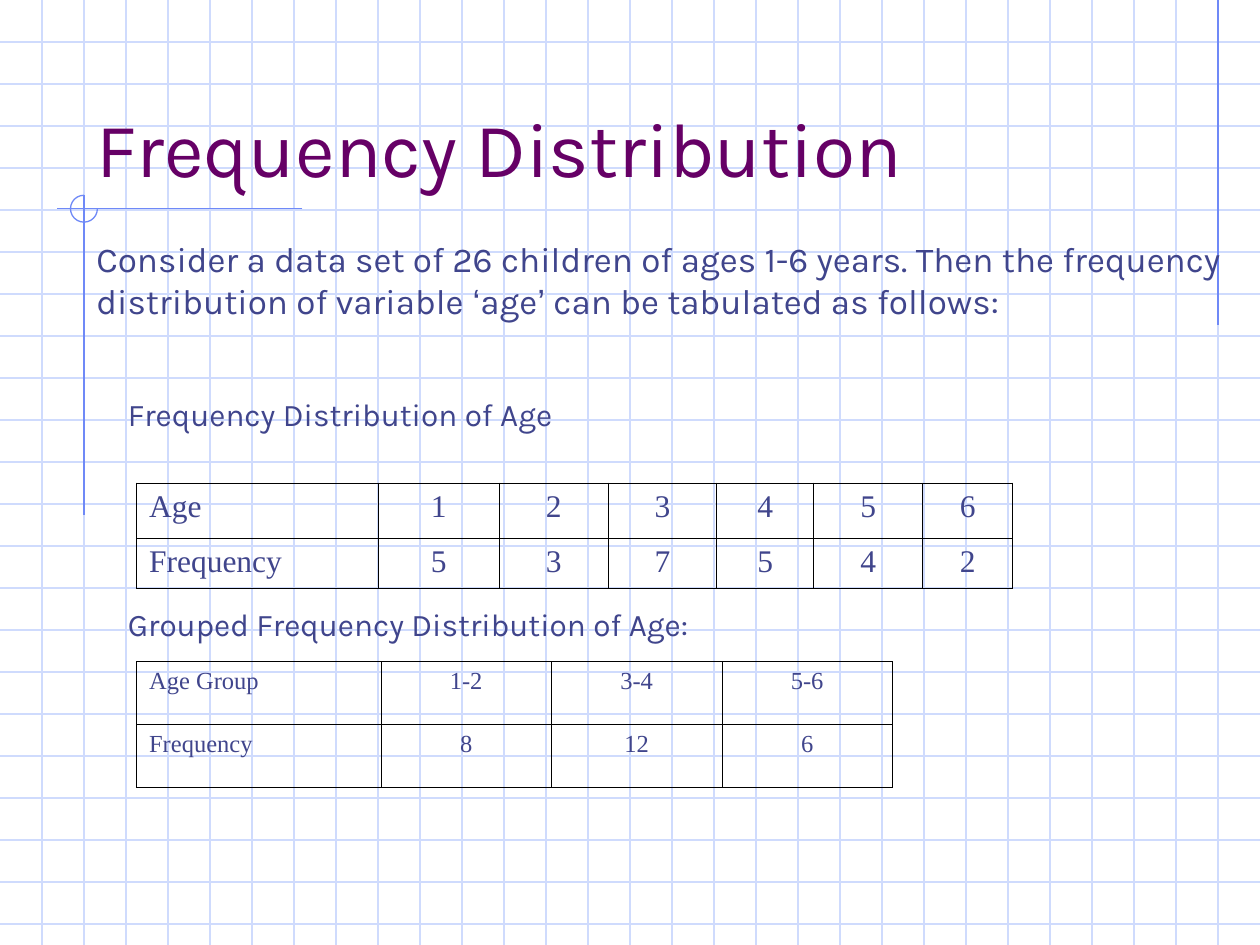
from lxml import etree
from pptx import Presentation
from pptx import util as u
from pptx.dml.color import RGBColor
from pptx.enum import shapes, text
from pptx.oxml import ns

PALE_BLUE = RGBColor(0xCF, 0xDB, 0xFD)
BLUE = RGBColor(0x6F, 0x89, 0xF7)
PURPLE = RGBColor(0x66, 0x00, 0x66)
INDIGO = RGBColor(0x40, 0x45, 0x8C)
BLACK = RGBColor(0x00, 0x00, 0x00)

COLUMNS, ROWS = 30, 22.5  # squares of the graph paper
SQUARE = u.Inches(10) / COLUMNS


def squares(*counts):
    return [u.Emu(round(count * SQUARE)) for count in counts]


class GraphPaper:
    """Draws on one slide; all lengths are in squares of the paper."""

    body_font = "Karla"
    quote_font = "Arial"
    table_font = "Times New Roman"
    line_width = u.Pt(0.75)
    border_width = u.Pt(0.45)

    def __init__(self, slide):
        self.slide = slide

    def line(self, x1, y1, x2, y2, color):
        connector = self.slide.shapes.add_connector(
            shapes.MSO_CONNECTOR.STRAIGHT, *squares(x1, y1, x2, y2))
        connector.line.color.rgb = color
        connector.line.width = self.line_width
        etree.SubElement(connector._element.spPr, ns.qn("a:effectLst"))

    def three_quarter_arc(self, center_x, center_y, radius):
        """Leaves the upper right quarter of the circle open."""
        arc = self.slide.shapes.add_shape(
            shapes.MSO_SHAPE.ARC,
            *squares(center_x - radius, center_y - radius, 2 * radius, 2 * radius))
        arc.adjustments[0] = 0
        arc.adjustments[1] = 162  # 270 degrees
        arc.shadow.inherit = False
        arc.fill.background()
        arc.line.color.rgb = BLUE
        arc.line.width = self.line_width

    def run(self, paragraph, words, size, color=INDIGO, font=body_font):
        run = paragraph.add_run()
        run.text = words
        run.font.name = font
        run.font.size = u.Pt(size)
        run.font.color.rgb = color

    def text(self, left, top, width, height, runs, size, color=INDIGO,
             anchor=text.MSO_ANCHOR.TOP):
        """Takes runs as pairs of words and font."""
        box = self.slide.shapes.add_textbox(*squares(left, top, width, height))
        frame = box.text_frame
        frame.word_wrap = True
        frame.vertical_anchor = anchor
        for words, font in runs:
            self.run(frame.paragraphs[0], words, size, color, font)

    def border(self, cell):
        properties = cell._tc.get_or_add_tcPr()
        for side in ("lnL", "lnR", "lnT", "lnB"):
            line = etree.SubElement(properties, ns.qn(f"a:{side}"), w=str(self.border_width))
            fill = etree.SubElement(line, ns.qn("a:solidFill"))
            etree.SubElement(fill, ns.qn("a:srgbClr"), val=str(BLACK))

    def table(self, left, top, widths, heights, rows, size):
        """Aligns the first column left and centres the others."""
        table = self.slide.shapes.add_table(
            len(heights), len(widths),
            *squares(left, top, sum(widths), sum(heights))).table
        table.first_row = table.horz_banding = False
        for column, width in zip(table.columns, squares(*widths)):
            column.width = width
        for row, height in zip(table.rows, squares(*heights)):
            row.height = height
        for row, values in zip(table.rows, rows):
            for index, (cell, value) in enumerate(zip(row.cells, values)):
                self.border(cell)
                cell.fill.background()
                paragraph = cell.text_frame.paragraphs[0]
                if index:
                    paragraph.alignment = text.PP_ALIGN.CENTER
                self.run(paragraph, value, size, font=self.table_font)


def main():
    presentation = Presentation()
    presentation.slide_width, presentation.slide_height = squares(COLUMNS, ROWS)
    paper = GraphPaper(presentation.slides.add_slide(presentation.slide_layouts[6]))
    body, quote = paper.body_font, paper.quote_font

    for row in range(1, int(ROWS) + 1):
        paper.line(0, row, COLUMNS, row, PALE_BLUE)
    for column in range(1, COLUMNS):
        paper.line(column, 0, column, ROWS, PALE_BLUE)

    paper.line(29, 0, 29, 7.75, BLUE)
    paper.line(7.2, 4.97, 1.35, 4.97, BLUE)
    paper.line(2, 4.65, 2, 12.27, BLUE)
    paper.three_quarter_arc(2, 4.97, 0.32)

    paper.text(2, 1, 25.5, 3.75, [("Frequency Distribution", body)], 44, PURPLE,
               text.MSO_ANCHOR.BOTTOM)
    paper.text(2, 5.5, 28, 2.31, [
        ("Consider a data set of 26 children of ages 1-6 years. "
         "Then the frequency distribution of variable ", body),
        ("‘", quote), ("age", body), ("’", quote),
        (" can be tabulated as follows:", body)], 20)

    paper.text(2.75, 9.25, 12.5, 1.2, [("Frequency Distribution of Age", body)], 18)
    paper.table(3.25, 11.5, [5.76, 2.88, 2.59, 2.59, 2.31, 2.59, 2.15], [1.31, 1.21], [
        ["Age", "1", "2", "3", "4", "5", "6"],
        ["Frequency", "5", "3", "7", "5", "4", "2"]], 18)

    paper.text(2.75, 14.25, 24.75, 1.2,
               [("Grouped Frequency Distribution of Age:", body)], 18)
    paper.table(3.25, 15.75, [5.82] + [4.06] * 3, [1.5] * 2, [
        ["Age Group", "1-2", "3-4", "5-6"],
        ["Frequency", "8", "12", "6"]], 14)

    presentation.save("out.pptx")


if __name__ == "__main__":
    main()
